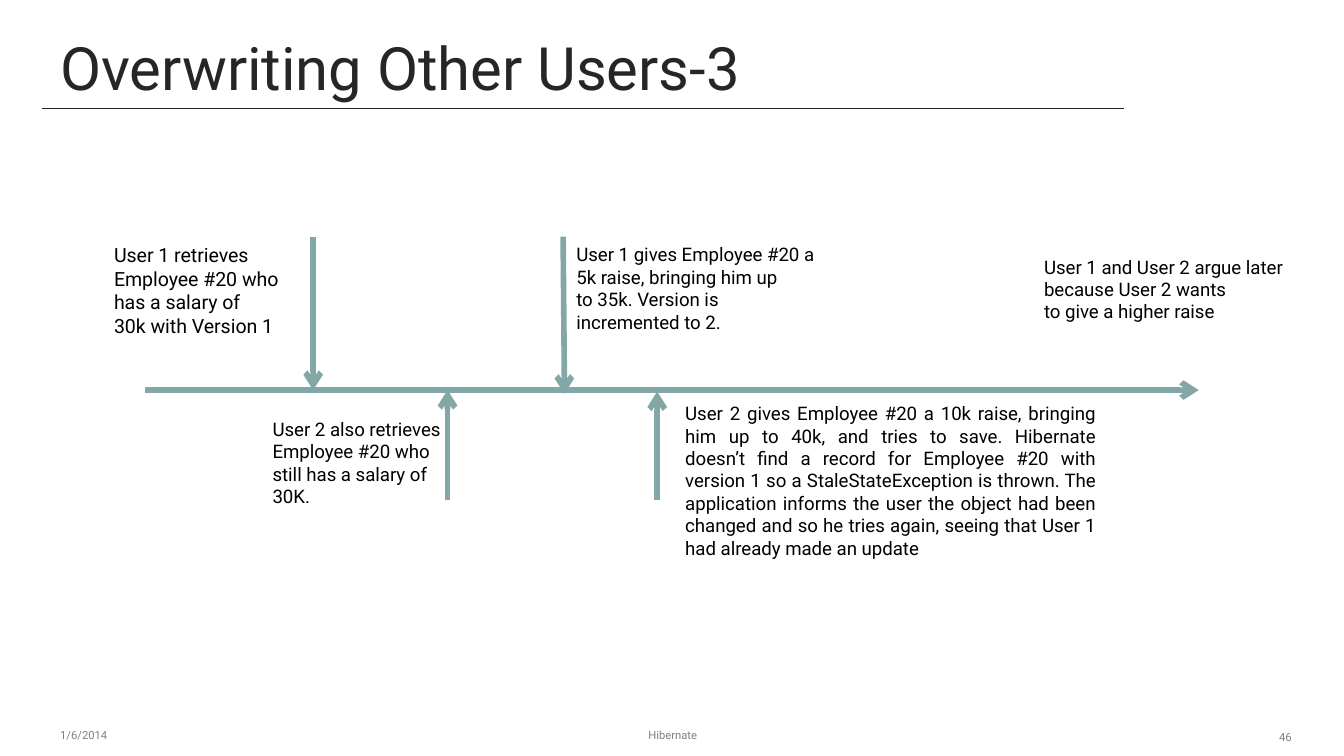
from typing import Any, NamedTuple

from lxml.etree import SubElement as Sub
from pptx import Presentation
from pptx.dml.color import RGBColor
from pptx.enum.shapes import MSO_CONNECTOR as Conn
from pptx.enum.text import MSO_ANCHOR as Anchor, PP_ALIGN as Align
from pptx.oxml.ns import qn
from pptx.util import Inches, Pt

WIDE, HIGH = Inches(10), Inches(5.625)
DARK, GREY, TEAL, BLACK = "262626", "808080", "83A6A6", "000000"


# Places are percentages of the slide's width and height
class Rule(NamedTuple):
    x1: float
    y1: float
    x2: float
    y2: float
    hue: str = TEAL
    thick: float = 3
    arrow: bool = True


class Note(NamedTuple):
    x: float
    y: float
    w: float
    h: float
    lines: tuple[str, ...]
    size: float = 10
    hue: str = BLACK
    align: Any = Align.LEFT
    anchor: Any = Anchor.TOP


def across(share: float) -> int:
    return round(WIDE * share / 100)


def down(share: float) -> int:
    return round(HIGH * share / 100)


def color(code: str) -> RGBColor:
    return RGBColor.from_string(code)


def draw_rule(slide: Any, rule: Rule) -> None:
    line = slide.shapes.add_connector(
        Conn.STRAIGHT, across(rule.x1), down(rule.y1),
        across(rule.x2), down(rule.y2))
    line.line.color.rgb = color(rule.hue)
    line.line.width = Pt(rule.thick)
    props = line._element.spPr
    if rule.arrow:
        Sub(props.find(qn("a:ln")), qn("a:tailEnd"), type="arrow")
    Sub(props, qn("a:effectLst"))


def draw_note(slide: Any, note: Note) -> None:
    box = slide.shapes.add_textbox(
        across(note.x), down(note.y), across(note.w), down(note.h))
    frame = box.text_frame
    frame.word_wrap = True
    frame.vertical_anchor = note.anchor
    style = {"name": "Roboto", "size": Pt(note.size)}
    for i, text in enumerate(note.lines):
        para = frame.paragraphs[0] if i == 0 else frame.add_paragraph()
        para.alignment = note.align
        run = para.add_run()
        run.text = text
        for key, value in style.items():
            setattr(run.font, key, value)
        run.font.color.rgb = color(note.hue)


TOP, AXIS, FOOT = 31.3, 51.6, 66.2

RULES = [
    # Title underline
    Rule(3.1, 14.4, 83.6, 14.4, DARK, 0.5, False),
    # Time axis, then the events of User 1 above and User 2 below
    Rule(10.8, AXIS, 89.2, AXIS),
    Rule(23.3, TOP, 23.3, AXIS),
    Rule(41.9, TOP, 42, 52.1),
    Rule(33.3, FOOT, 33.3, AXIS),
    Rule(48.9, FOOT, 48.9, 51.8),
]

NOTES = [
    # Title
    Note(3.5, 3.7, 89, 10.7, ("Overwriting Other Users-3",), 32, DARK,
         anchor=Anchor.BOTTOM),
    # Footer
    Note(3.5, 94.6, 23.3, 5.3, ("1/6/2014",), 6, GREY, Align.LEFT,
         Anchor.MIDDLE),
    Note(34.2, 94.6, 31.7, 5.3, ("Hibernate",), 6, GREY, Align.CENTER,
         Anchor.MIDDLE),
    Note(73.8, 95.1, 23.3, 4.8, ("46",), 6, GREY, Align.RIGHT,
         Anchor.MIDDLE),
    # Events above the axis
    Note(7.5, TOP, 15.8, 14.4,
         ("User 1 retrieves Employee #20 who has a salary of",
          "30k with Version 1"), 10.5),
    Note(41.9, TOP, 20, 13.7,
         ("User 1 gives Employee #20 a 5k raise, bringing him up",
          "to 35k. Version is", "incremented to 2.")),
    Note(76.7, 32.9, 21.4, 10.8,
         ("User 1 and User 2 argue later because User 2 wants",
          "to give a higher raise")),
    # Events below the axis
    Note(19.3, 54.4, 15.6, 13.7,
         ("User 2 also retrieves Employee #20 who still has a salary "
          "of 30K.",)),
    Note(50, 52.3, 32.5, 22.8,
         ("User 2 gives Employee #20 a 10k raise, bringing him up to 40k, "
          "and tries to save. Hibernate doesn’t find a record for Employee "
          "#20 with version 1 so a StaleStateException is thrown. The "
          "application informs the user the object had been changed and so "
          "he tries again, seeing that User 1 had already made an update",),
         align=Align.JUSTIFY),
]


def main() -> None:
    deck = Presentation()
    deck.slide_width, deck.slide_height = WIDE, HIGH
    slide = deck.slides.add_slide(deck.slide_layouts[6])
    slide.background.fill.solid()
    slide.background.fill.fore_color.rgb = color("FFFFFF")
    for rule in RULES:
        draw_rule(slide, rule)
    for note in NOTES:
        draw_note(slide, note)
    deck.save("out.pptx")


if __name__ == "__main__":
    main()
